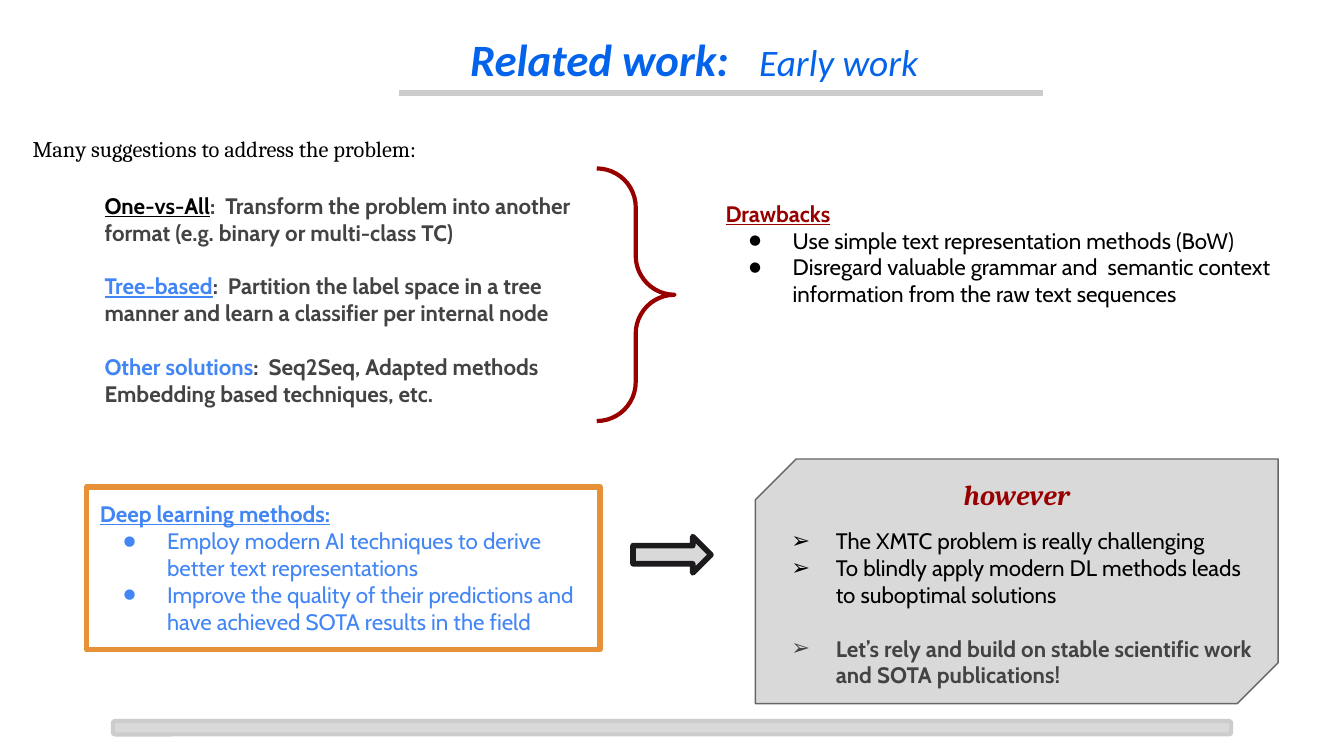
import dataclasses

import pptx
import pptx.dml.color
import pptx.enum.shapes
import pptx.enum.text
import pptx.oxml.ns
import pptx.util
from lxml import etree

SHAPES = pptx.enum.shapes.MSO_SHAPE
ALIGN = pptx.enum.text.PP_ALIGN
CELL = 0.1  # inches; the slide is a grid of 100 columns by 56.25 rows
COLUMNS, ROWS = 100, 56.25


@dataclasses.dataclass(frozen=True)
class Theme:
    title: str = "0363EB"
    black: str = "000000"
    body: str = "434343"
    blue: str = "4285F4"
    red: str = "980000"
    orange: str = "E69138"
    panel: str = "D9D9D9"
    rule: str = "CCCCCC"
    arrow_edge: str = "1D1A1D"
    panel_edge: str = "666666"
    title_size: float = 24
    subtitle_size: float = 20
    however_size: float = 15
    body_size: float = 12
    blank_line: float = 14.4
    sans: str = "Cabin"
    serif: str = "Cambria"
    title_font: str = "Calibri"
    bullet_font: str = "Calibri"
    thick: float = 3
    medium: float = 2.25
    thin: float = 0.75


THEME = Theme()


def cells(*counts):
    return [pptx.util.Inches(count * CELL) for count in counts]


def rgb(code):
    return pptx.dml.color.RGBColor.from_string(code)


def add_run(paragraph, text, color=THEME.black, size=THEME.body_size,
            font=THEME.sans, bold=False, italic=False, underline=False):
    run = paragraph.add_run()
    run.text = text
    run.font.name = font
    run.font.size = pptx.util.Pt(size)
    run.font.bold = bold
    run.font.italic = italic
    run.font.underline = underline
    run.font.color.rgb = rgb(color)


def prepare_frame(holder, grow=True):
    frame = holder.text_frame
    frame.word_wrap = True
    frame.vertical_anchor = pptx.enum.text.MSO_ANCHOR.TOP
    auto = pptx.enum.text.MSO_AUTO_SIZE
    frame.auto_size = auto.SHAPE_TO_FIT_TEXT if grow else auto.NONE
    frame.margin_left, frame.margin_top, frame.margin_right, frame.margin_bottom = cells(1, 1, 1, 1)
    return frame


def add_text_area(slide, *place, grow=True):
    return prepare_frame(slide.shapes.add_textbox(*cells(*place)), grow)


def add_paragraph(frame, align=ALIGN.LEFT, spacing=None, before=0):
    """Use the frame's first paragraph while it is empty, then append."""
    first = frame.paragraphs[0]
    paragraph = frame.add_paragraph() if first.runs else first
    paragraph.alignment = align
    paragraph.space_before = pptx.util.Pt(before)
    if spacing:
        paragraph.line_spacing = spacing
    return paragraph


def add_bullet(frame, mark, text, color=THEME.black, bold=False, before=0):
    paragraph = add_paragraph(frame, before=before)
    add_run(paragraph, text, color=color, bold=bold)
    qn = pptx.oxml.ns.qn
    properties = paragraph._p.get_or_add_pPr()
    properties.set("marL", str(pptx.util.Inches(0.5)))
    properties.set("indent", str(pptx.util.Inches(-0.33)))
    mark_color = etree.SubElement(properties, qn("a:buClr"))
    etree.SubElement(mark_color, qn("a:srgbClr")).set("val", color)
    etree.SubElement(properties, qn("a:buFont")).set("typeface", THEME.bullet_font)
    etree.SubElement(properties, qn("a:buChar")).set("char", mark)


def add_outlined(slide, kind, *place, line, weight, fill=None, adjust=()):
    shape = slide.shapes.add_shape(kind, *cells(*place))
    shape.shadow.inherit = False
    if fill:
        shape.fill.solid()
        shape.fill.fore_color.rgb = rgb(fill)
    else:
        shape.fill.background()
    shape.line.color.rgb = rgb(line)
    shape.line.width = pptx.util.Pt(weight)
    for index, value in enumerate(adjust):
        shape.adjustments[index] = value
    return shape


def add_rule(slide, left, right, row):
    rule = slide.shapes.add_connector(
        pptx.enum.shapes.MSO_CONNECTOR.STRAIGHT, *cells(left, row, right, row))
    rule.line.color.rgb = rgb(THEME.rule)
    rule.line.width = pptx.util.Pt(THEME.thick)
    etree.SubElement(rule._element.spPr, pptx.oxml.ns.qn("a:effectLst"))


def add_header(slide):
    add_rule(slide, 29.7, 77.6, 6.93)
    title = add_paragraph(add_text_area(slide, 29.4, 1.35, 44.5, 6.3, grow=False), ALIGN.CENTER)
    look = dict(color=THEME.title, font=THEME.title_font, italic=True)
    add_run(title, "Related work:   ", size=THEME.title_size, bold=True, **look)
    add_run(title, "Early work", size=THEME.subtitle_size, **look)
    add_outlined(slide, SHAPES.ROUNDED_RECTANGLE, 8.4, 53.65, 83.2, 1, fill=THEME.panel,
                 line=THEME.rule, weight=THEME.medium, adjust=[0.167])


def add_early_methods(slide):
    intro = add_paragraph(add_text_area(slide, 1.45, 9.3, 37.6, 4.9, grow=False), spacing=0.9)
    add_run(intro, "Many suggestions to address the problem:", font=THEME.serif)
    methods = [
        ("One-vs-All", THEME.black, True,
         ":  Transform the problem into another format (e.g. binary or multi-class TC)"),
        ("Tree-based", THEME.blue, True,
         ":  Partition the label space in a tree manner and learn a classifier per internal node"),
        ("Other solutions", THEME.blue, False,
         ":  Seq2Seq, Adapted methods Embedding based techniques, etc."),
    ]
    frame = add_text_area(slide, 6.8, 13.27, 37.6, 18.2)
    for index, (name, color, underline, summary) in enumerate(methods):
        paragraph = add_paragraph(frame, before=THEME.blank_line if index else 0)
        add_run(paragraph, name, color=color, bold=True, underline=underline)
        add_run(paragraph, summary, color=THEME.body, bold=True)


def add_headed_list(frame, heading, heading_color, items, item_color):
    add_run(add_paragraph(frame), heading, color=heading_color, bold=True, underline=True)
    for item in items:
        add_bullet(frame, "●", item, item_color)


def add_however_panel(slide):
    add_outlined(slide, SHAPES.SNIP_2_DIAG_RECTANGLE, 56.2, 34.15, 38.9, 18.2, fill=THEME.panel,
                 line=THEME.panel_edge, weight=THEME.thin, adjust=[0.167, 0])
    frame = add_text_area(slide, 56.2, 38.23, 38.9, 14.1)
    add_bullet(frame, "➢", "The XMTC problem is really challenging")
    add_bullet(frame, "➢", "To blindly apply modern DL methods leads to suboptimal solutions")
    add_bullet(frame, "➢", "Let’s rely and build on stable scientific work and SOTA publications!",
               THEME.body, bold=True, before=THEME.blank_line)
    however = add_paragraph(add_text_area(slide, 67.95, 34.8, 15.4, 4.3), ALIGN.CENTER, 0.9)
    add_run(however, "however", color=THEME.red, size=THEME.however_size,
            font=THEME.serif, bold=True, italic=True)


def main():
    deck = pptx.Presentation()
    deck.slide_width, deck.slide_height = cells(COLUMNS, ROWS)
    slide = deck.slides.add_slide(deck.slide_layouts[6])

    add_header(slide)
    add_early_methods(slide)
    add_headed_list(
        add_text_area(slide, 53, 13.87, 43.8, 10.1), "Drawbacks", THEME.red,
        ["Use simple text representation methods (BoW)",
         "Disregard valuable grammar and  semantic context information from the raw text sequences"],
        THEME.black)
    deep_learning = add_outlined(slide, SHAPES.RECTANGLE, 6.45, 36.23, 38.2, 12.1,
                                 line=THEME.orange, weight=THEME.thick)
    add_headed_list(
        prepare_frame(deep_learning), "Deep learning methods:", THEME.blue,
        ["Employ modern AI techniques to derive better text representations",
         "Improve the quality of their predictions and have achieved SOTA results in the field"],
        THEME.blue)
    add_outlined(slide, SHAPES.RIGHT_BRACE, 44.4, 12.53, 5.8, 18.8,
                 line=THEME.red, weight=THEME.medium, adjust=[0.5, 0.5])
    add_outlined(slide, SHAPES.RIGHT_ARROW, 47.1, 39.93, 5.8, 2.7, fill=THEME.panel,
                 line=THEME.arrow_edge, weight=THEME.thick, adjust=[0.5, 0.5])
    add_however_panel(slide)
    deck.save("out.pptx")


if __name__ == "__main__":
    main()
